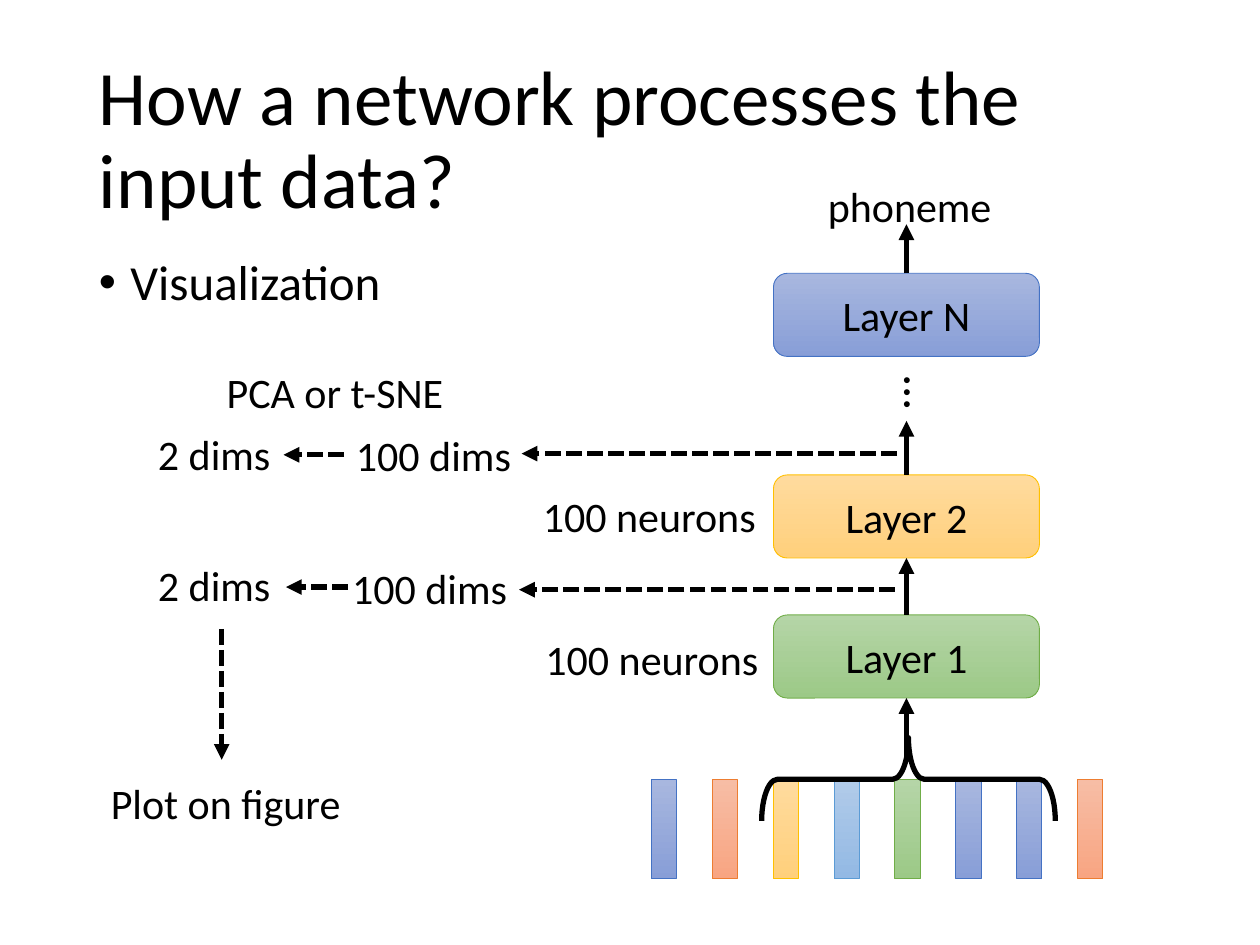
"""Build a slide on how a network processes its input data."""
from lxml import etree
from pptx import Presentation
from pptx.dml.color import RGBColor
from pptx.enum.dml import MSO_LINE
from pptx.enum.shapes import MSO_CONNECTOR, MSO_SHAPE
from pptx.enum.text import MSO_ANCHOR, PP_ALIGN
from pptx.oxml.ns import qn
from pptx.util import Pt

RECT, ROUND, BRACE = MSO_SHAPE.RECTANGLE, MSO_SHAPE.ROUNDED_RECTANGLE, MSO_SHAPE.RIGHT_BRACE
LINE, DOT = MSO_CONNECTOR.STRAIGHT, MSO_LINE.SQUARE_DOT
TOP, MID = MSO_ANCHOR.TOP, MSO_ANCHOR.MIDDLE
LEFT, CENTER = PP_ALIGN.LEFT, PP_ALIGN.CENTER
FONT = "Calibri"
BLACK = "000000"
COLORS = {
    "blue": ("A8B7DF", "889ED7", "4472C4"),
    "red": ("F7BDA5", "F8A582", "ED7D31"),
    "gold": ("FFDB9E", "FFD07C", "FFC000"),
    "sky": ("B1CBE9", "93B9E4", "5B9BD5"),
    "green": ("B5D5A7", "9CC987", "70AD47"),
}

TITLE = "How a network processes the input data?"
BULLET = "Visualization"
FRAMES = ["blue", "red", "gold", "sky", "green", "blue", "blue", "red"]
LAYERS = [("Layer 1", 351.4, "green"), ("Layer 2", 271.4, "gold"), ("Layer N", 156.2, "blue")]
LABELS = [
    ("phoneme", 427.7, 99.4, 184.3, CENTER),
    ("100 neurons", 304.6, 358.6, 152.6, LEFT),
    ("100 neurons", 303.1, 276.5, 152.6, LEFT),
    ("100 dims", 169.2, 318.2, 152.6, CENTER),
    ("100 dims", 171.4, 241.9, 152.6, CENTER),
    ("2 dims", 46.1, 316.1, 152.6, CENTER),
    ("2 dims", 46.1, 241.2, 152.6, CENTER),
    ("Plot on figure", 56.2, 440.6, 152.6, LEFT),
    ("PCA or t-SNE", 122.4, 205.9, 152.6, LEFT),
]
DOTTED = [
    (511.2, 337, 296.6, 337), (512.6, 259.2, 298.1, 259.2),
    (196.6, 259.9, 162, 259.9), (198.7, 335.5, 163.4, 335.5),
    (126.7, 359.3, 126.7, 434.2),
]
AXIS = 518


def rgb(code):
    return RGBColor.from_string(code)


def write(shape, text, size=24, align=CENTER, anchor=TOP, space=None, bullet=None):
    frame = shape.text_frame
    frame.word_wrap = True
    frame.vertical_anchor = anchor
    para = frame.paragraphs[0]
    para.text = text
    para.alignment = align
    if space:
        para.line_spacing = space
    if bullet:
        props = para._p.get_or_add_pPr()
        props.set("marL", str(Pt(18)))
        props.set("indent", str(Pt(-18)))
        etree.SubElement(props, qn("a:buFont")).set("typeface", "Arial")
        etree.SubElement(props, qn("a:buChar")).set("char", bullet)
    para.font.name = FONT
    para.font.size = Pt(size)
    para.font.color.rgb = rgb(BLACK)


def label(shapes, text, x, y, w, h, **form):
    box = shapes.add_textbox(Pt(x), Pt(y), Pt(w), Pt(h))
    write(box, text, **form)
    return box


def block(shapes, kind, x, y, w, h, hue):
    shape = shapes.add_shape(kind, Pt(x), Pt(y), Pt(w), Pt(h))
    shape.shadow.inherit = False
    light, dark, edge = COLORS[hue]
    shape.fill.gradient()
    shape.fill.gradient_angle = 270
    for stop, code in zip(shape.fill.gradient_stops, (light, dark)):
        stop.color.rgb = rgb(code)
    shape.line.color.rgb = rgb(edge)
    shape.line.width = Pt(0.5)
    return shape


def arrow(shapes, x1, y1, x2, y2, dash=None):
    link = shapes.add_connector(LINE, Pt(x1), Pt(y1), Pt(x2), Pt(y2))
    link.line.color.rgb = rgb(BLACK)
    link.line.width = Pt(3)
    if dash:
        link.line.dash_style = dash
    etree.SubElement(link.line._get_or_add_ln(), qn("a:tailEnd")).set("type", "triangle")
    etree.SubElement(link._element.spPr, qn("a:effectLst"))
    return link


def main():
    deck = Presentation()
    deck.slide_width, deck.slide_height = Pt(720), Pt(540)
    shapes = deck.slides.add_slide(deck.slide_layouts[6]).shapes

    label(shapes, TITLE, 49.5, 28.8, 621, 104.4, size=44, align=LEFT, anchor=MID, space=0.9)
    label(shapes, BULLET, 49.5, 143.8, 621, 342.6, size=28, align=LEFT, space=0.9, bullet="•")

    for i, hue in enumerate(FRAMES):
        block(shapes, RECT, 372.2 + 34.8 * i, 445.5, 14.4, 56.7, hue)

    brace = shapes.add_shape(BRACE, Pt(495.4), Pt(361.4), Pt(47.5), Pt(167.8))
    brace.shadow.inherit = False
    brace.rotation = 270
    brace.adjustments[0] = 0.19
    brace.fill.background()
    brace.line.color.rgb = rgb(BLACK)
    brace.line.width = Pt(3)

    boxes = []
    for name, y, hue in LAYERS:
        box = block(shapes, ROUND, AXIS - 76, y, 152, 47.5, hue)
        write(box, name, anchor=MID)
        boxes.append(box)
    first, second, last = boxes

    arrow(shapes, AXIS, 435, AXIS, 399).end_connect(first, 2)
    rise = arrow(shapes, AXIS, 351, AXIS, 319)
    rise.begin_connect(first, 0)
    rise.end_connect(second, 2)
    for box, end in ((second, 240.5), (last, 128.2)):
        arrow(shapes, AXIS, end + 30, AXIS, end).begin_connect(box, 0)

    label(shapes, "...", 492.5, 203.8, 70.6, 41, size=28).rotation = 90
    for text, x, y, w, align in LABELS:
        label(shapes, text, x, y, w, 36, align=align)
    for ends in DOTTED:
        arrow(shapes, *ends, dash=DOT)

    deck.save("out.pptx")


if __name__ == "__main__":
    main()
